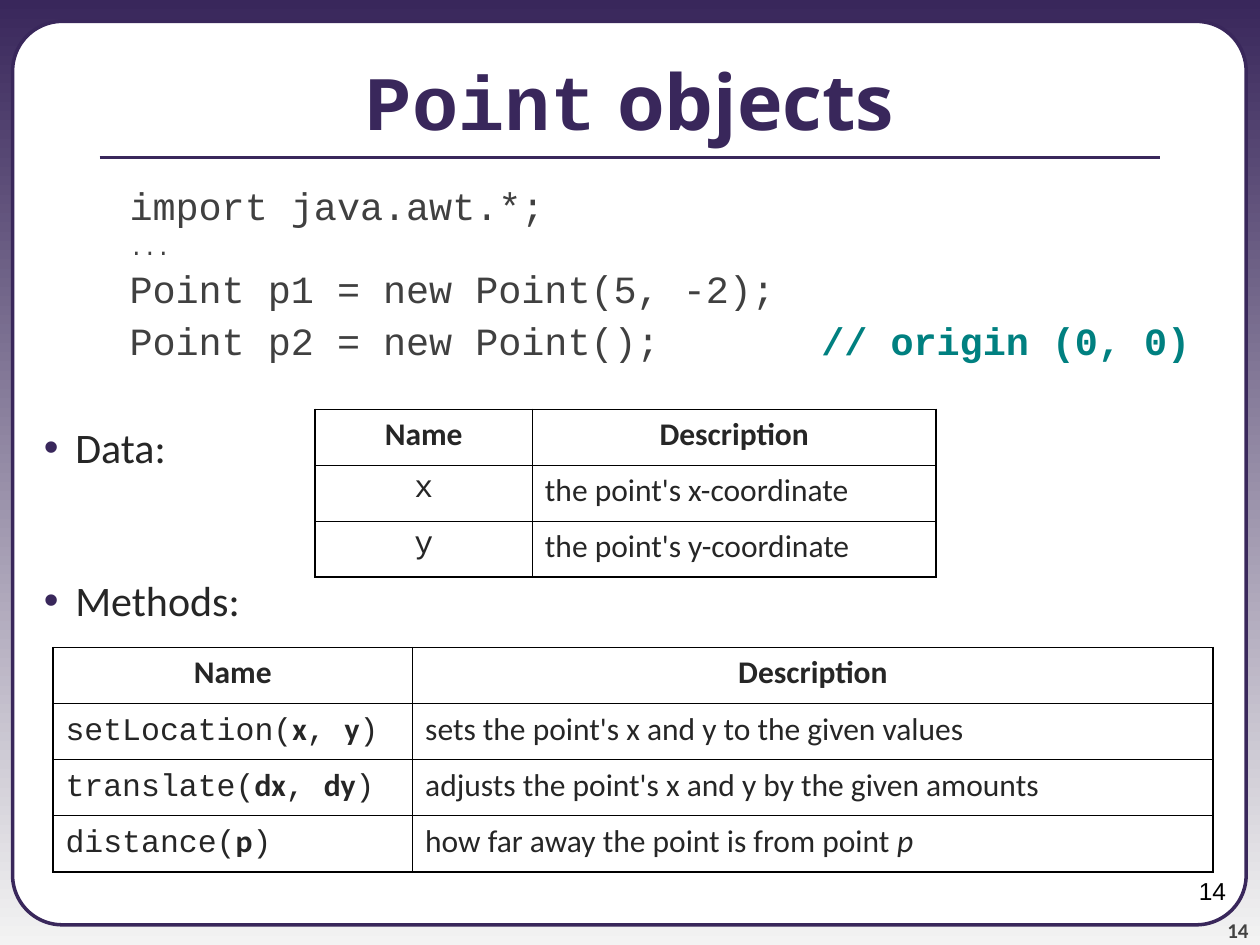
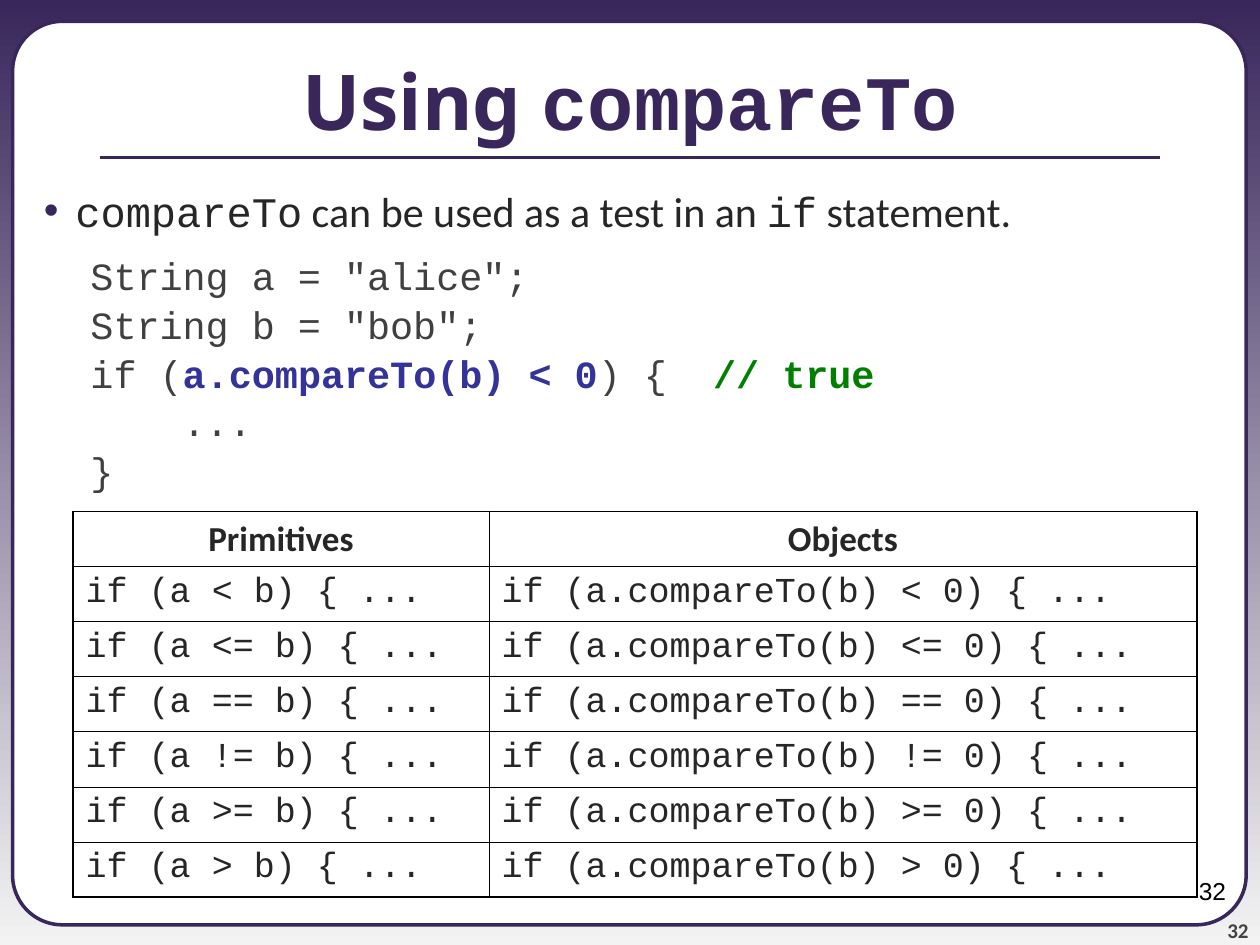
from dataclasses import dataclass, replace

from lxml import etree
from pptx import Presentation
from pptx.dml.color import RGBColor
from pptx.enum.shapes import MSO_CONNECTOR, MSO_SHAPE
from pptx.enum.text import MSO_ANCHOR, MSO_AUTO_SIZE, PP_ALIGN
from pptx.oxml.ns import qn
from pptx.util import Inches, Pt

LEFT, CENTER, RIGHT = PP_ALIGN.LEFT, PP_ALIGN.CENTER, PP_ALIGN.RIGHT
TOP, MIDDLE, BOTTOM = MSO_ANCHOR.TOP, MSO_ANCHOR.MIDDLE, MSO_ANCHOR.BOTTOM
STRAIGHT = MSO_CONNECTOR.STRAIGHT
ROUNDED = MSO_SHAPE.ROUNDED_RECTANGLE
NO_AUTOFIT = MSO_AUTO_SIZE.NONE

WIDTH, HEIGHT = Inches(10), Inches(7.5)
COLUMN, ROW = WIDTH / 100, HEIGHT / 75


@dataclass(frozen=True)
class Style:
    font: str
    size: float
    color: str
    bold: bool = False
    italic: bool = False


@dataclass(frozen=True)
class Theme:
    purple: str = "39275B"
    mist: str = "F3F3F3"
    paper: str = "FFFFFF"
    rule: str = "000000"
    outer_rule: float = 1.08
    inner_rule: float = 0.45
    title: Style = Style("Noto Sans", 44, "39275B", True)
    title_code: Style = Style("Courier New", 44, "39275B", True)
    topic: Style = Style("Calibri", 24, "262626")
    topic_code: Style = Style("Courier New", 24, "262626")
    code: Style = Style("Courier New", 22, "404040")
    ellipsis: Style = Style("Courier New", 13, "404040")
    origin_note: Style = Style("Courier New", 22, "008080", True)
    test: Style = Style("Courier New", 22, "333399", True)
    true_note: Style = Style("Courier New", 22, "008000", True)
    cell: Style = Style("Calibri", 18, "262626")
    cell_code: Style = Style("Courier New", 18, "262626")
    band_page: Style = Style("Calibri", 12, "424242", True)
    sheet_page: Style = Style("Arial", 14, "000000")


THEME = Theme()
HEADER = replace(THEME.cell, bold=True)


@dataclass(frozen=True)
class Box:
    col: float
    row: float
    cols: float
    rows: float

    def frame(self):
        return (round(self.col * COLUMN), round(self.row * ROW),
                round(self.cols * COLUMN), round(self.rows * ROW))


def write(paragraph, spans, align=LEFT):
    paragraph.alignment = align
    for text, style in spans:
        run = paragraph.add_run()
        run.text = text
        run.font.name = style.font
        run.font.size = Pt(style.size)
        run.font.bold = style.bold
        run.font.italic = style.italic
        run.font.color.rgb = RGBColor.from_string(style.color)


def paragraphs(frame, count):
    return [frame.paragraphs[0]] + [frame.add_paragraph() for _ in range(count - 1)]


def text_area(slide, box, anchor=TOP):
    frame = slide.shapes.add_textbox(*box.frame()).text_frame
    frame.word_wrap = True
    frame.vertical_anchor = anchor
    return frame


def build_layout(layout, slide):
    fill = layout.background.fill
    fill.gradient()
    fill.gradient_angle = 270
    for stop, color in zip(fill.gradient_stops, (THEME.purple, THEME.mist)):
        stop.color.rgb = RGBColor.from_string(color)

    sheet = slide.shapes.add_shape(ROUNDED, *Box(1, 1.7, 97.9, 71.7).frame())
    sheet.adjustments[0] = 0.055
    sheet.shadow.inherit = False
    sheet.fill.solid()
    sheet.fill.fore_color.rgb = RGBColor.from_string(THEME.paper)

    left, top, width, _ = Box(7.9, 12.5, 84.2, 0).frame()
    underline = slide.shapes.add_connector(STRAIGHT, left, top, left + width, top)

    for part, weight in ((sheet, 2), (underline, 2.25)):
        part.line.color.rgb = RGBColor.from_string(THEME.purple)
        part.line.width = Pt(weight)
    etree.SubElement(underline.element.spPr, qn("a:effectLst"))

    for depth, part in enumerate((sheet, underline), 2):
        layout.shapes.element.insert(depth, part.element)


def place_title(slide, box, spans):
    title = slide.shapes.title
    title.left, title.top, title.width, title.height = box.frame()
    frame = title.text_frame
    frame.auto_size = NO_AUTOFIT
    frame.vertical_anchor = MIDDLE
    write(frame.paragraphs[0], spans, CENTER)


def place_page_numbers(slide, page):
    band = text_area(slide, Box(90.8, 70.8, 8.3, 4), BOTTOM)
    band.margin_left = band.margin_right = band.margin_top = band.margin_bottom = 0
    write(band.paragraphs[0], [(page, THEME.band_page)], RIGHT)
    sheet = text_area(slide, Box(75, 69, 23.3, 5.2))
    write(sheet.paragraphs[0], [(page, THEME.sheet_page)], RIGHT)


def place_topics(slide, box, topics, gap=0):
    frame = text_area(slide, box)
    for index, (paragraph, spans) in enumerate(zip(paragraphs(frame, len(topics)), topics)):
        properties = paragraph._p.get_or_add_pPr()
        properties.set("marL", str(Inches(0.5)))
        properties.set("indent", str(Inches(-0.25)))
        bullet_color = etree.SubElement(properties, qn("a:buClr"))
        etree.SubElement(bullet_color, qn("a:srgbClr"), val=THEME.purple)
        etree.SubElement(properties, qn("a:buFont"), typeface="Arial")
        etree.SubElement(properties, qn("a:buChar"), char="•")
        if index:
            paragraph.space_before = Pt(gap)
        write(paragraph, spans)


def place_code(slide, box, lines, spacing, gap):
    frame = text_area(slide, box)
    for index, (paragraph, spans) in enumerate(zip(paragraphs(frame, len(lines)), lines)):
        paragraph.line_spacing = spacing
        if index:
            paragraph.space_before = Pt(gap * spans[0][1].size / THEME.code.size)
        write(paragraph, spans)


def rule_cell(cell, outer_sides):
    properties = cell._tc.get_or_add_tcPr()
    for side in "LRTB":
        weight = THEME.outer_rule if side in outer_sides else THEME.inner_rule
        edge = etree.SubElement(properties, qn(f"a:ln{side}"), w=str(Pt(weight)))
        fill = etree.SubElement(edge, qn("a:solidFill"))
        etree.SubElement(fill, qn("a:srgbClr"), val=THEME.rule)
    cell.fill.background()


def place_table(slide, box, shares, header, body, header_style=HEADER, first_align=LEFT):
    rows = [[[(label, header_style)] for label in header]] + body
    last_row, last_col = len(rows) - 1, len(shares) - 1
    grid = slide.shapes.add_table(len(rows), len(shares), *box.frame()).table
    grid.first_row = grid.horz_banding = False
    for column, share in zip(grid.columns, shares):
        column.width = round(box.cols * share * COLUMN)
    for r, row in enumerate(rows):
        for c, spans in enumerate(row):
            cell = grid.cell(r, c)
            edges = {"T": r == 0, "B": r == last_row, "L": c == 0, "R": c == last_col}
            rule_cell(cell, [side for side, outer in edges.items() if outer])
            align = CENTER if r == 0 else first_align if c == 0 else LEFT
            write(cell.text_frame.paragraphs[0], spans, align)


def start_slide(slide, title, page):
    place_title(slide, Box(0, 1.7, 100, 12.5), title)
    place_page_numbers(slide, page)


def call_spans(method, *arguments):
    spans = [(method + "(", THEME.cell_code)]
    for index, argument in enumerate(arguments):
        if index:
            spans.append((", ", THEME.cell_code))
        spans.append((argument, HEADER))
    return spans + [(")", THEME.cell_code)]


def build_point_slide(slide):
    start_slide(slide, [("Point", THEME.title_code), (" objects", THEME.title)], "14")
    place_code(slide, Box(8.3 + 1, 14.4, 90.7, 15), [
        [("import java.awt.*;", THEME.code)],
        [("...", THEME.ellipsis)],
        [("Point p1 = new Point(5, -2);", THEME.code)],
        [("Point p2 = new Point();       ", THEME.code),
         ("// origin (0, 0)", THEME.origin_note)],
    ], spacing=0.9, gap=6)
    place_topics(slide, Box(0, 33, 24, 18),
                 [[("Data:", THEME.topic)], [("Methods:", THEME.topic)]], gap=58.5)

    header = ("Name", "Description")
    methods = [
        (call_spans("setLocation", "x", "y"),
         [("sets the point's x and y to the given values", THEME.cell)]),
        (call_spans("translate", "dx", "dy"),
         [("adjusts the point's x and y by the given amounts", THEME.cell)]),
        (call_spans("distance", "p"),
         [("how far away the point is from point ", THEME.cell),
          ("p", replace(THEME.cell, italic=True))]),
    ]
    place_table(slide, Box(4.2, 51.4, 92.1, 17.8), (0.31, 0.69), header, methods)
    fields = [([(axis, THEME.cell_code)], [(f"the point's {axis}-coordinate", THEME.cell)])
              for axis in "xy"]
    place_table(slide, Box(25, 32.5, 49.3, 13.3), (0.35, 0.65), header, fields,
                first_align=CENTER)


def build_compare_slide(slide):
    start_slide(slide, [("Using ", THEME.title), ("compareTo", THEME.title_code)], "32")
    place_topics(slide, Box(0, 14.2, 100, 5.5), [[
        ("compareTo", THEME.topic_code),
        (" can be used as a test in an ", THEME.topic),
        ("if", THEME.topic_code),
        (" statement.", THEME.topic),
    ]])
    place_code(slide, Box(6.2, 20.2, 90, 19.5), [
        [('String a = "alice";', THEME.code)],
        [('String b = "bob";', THEME.code)],
        [("if (", THEME.code), ("a.compareTo(b) < 0", THEME.test),
         (") {  ", THEME.code), ("// true", THEME.true_note)],
        [("    ...", THEME.code)],
        [("}", THEME.code)],
    ], spacing=0.8, gap=6.8)

    comparison = replace(THEME.cell_code, size=20)
    tests = [([(f"if (a {sign} b) {{ ...", comparison)],
              [(f"if (a.compareTo(b) {sign} 0) {{ ...", comparison)])
             for sign in ("<", "<=", "==", "!=", ">=", ">")]
    place_table(slide, Box(5.8, 40.6, 89.2, 30.6), (0.37, 0.63),
                ("Primitives", "Objects"), tests, replace(HEADER, size=20))


def main():
    deck = Presentation()
    deck.slide_width, deck.slide_height = WIDTH, HEIGHT
    title_only = deck.slide_layouts[5]
    point_slide = deck.slides.add_slide(title_only)
    compare_slide = deck.slides.add_slide(title_only)
    build_layout(title_only, point_slide)
    build_point_slide(point_slide)
    build_compare_slide(compare_slide)
    deck.save("out.pptx")


if __name__ == "__main__":
    main()
